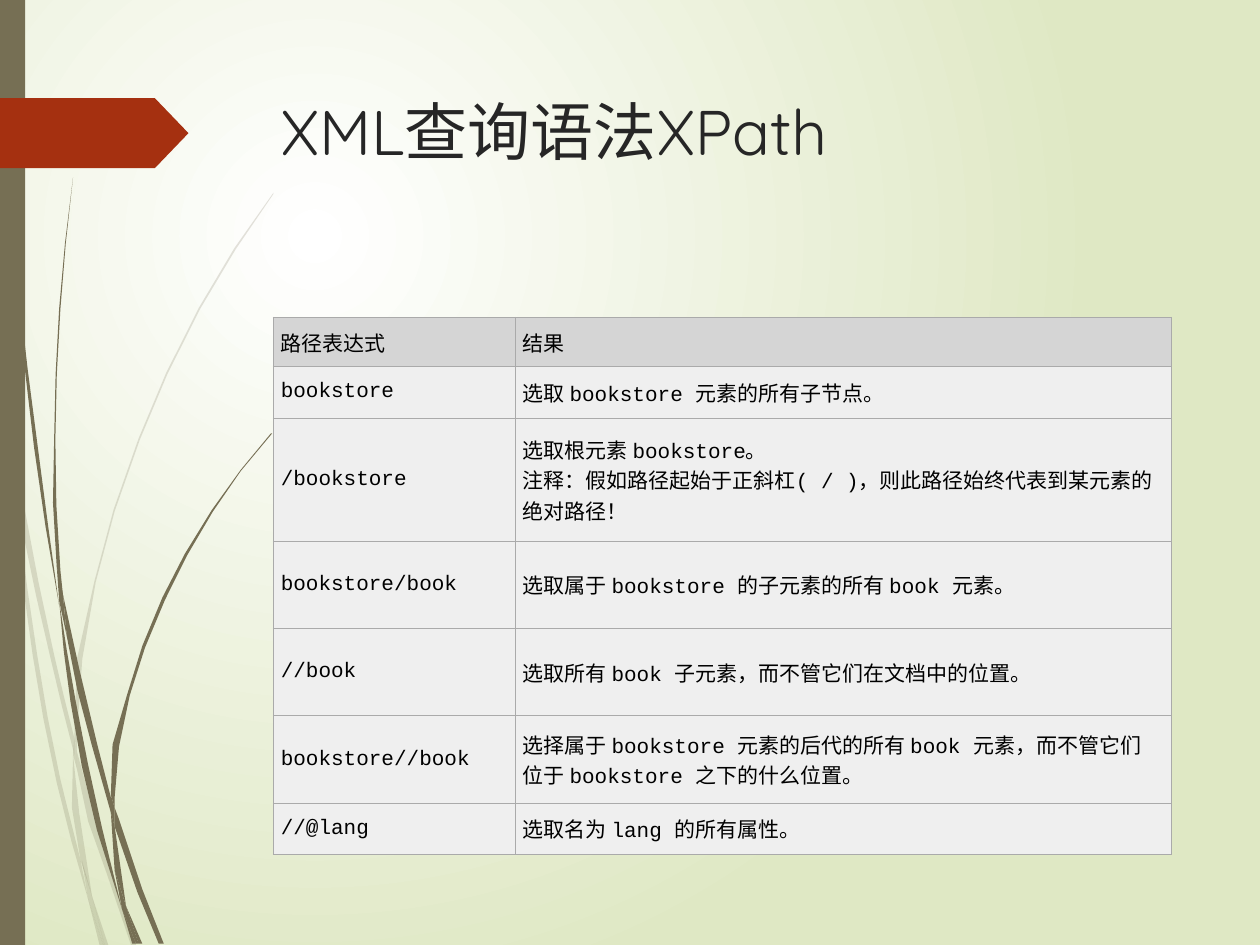
import math

from lxml import etree
from pptx import Presentation
from pptx.dml.color import RGBColor
from pptx.enum import shapes, text
from pptx.oxml.ns import qn
from pptx.util import Cm, Pt

WHITE = RGBColor(0xFF, 0xFF, 0xFF)
PALE_GREEN = RGBColor(0xDF, 0xE8, 0xC4)
OLIVE = RGBColor(0x76, 0x6F, 0x54)
RUST = RGBColor(0xA5, 0x30, 0x10)
INK = RGBColor(0x26, 0x26, 0x26)
BLACK = RGBColor(0, 0, 0)
HEADER_GREY = RGBColor(0xD5, 0xD5, 0xD5)
BODY_GREY = RGBColor(0xEF, 0xEF, 0xEF)
BORDER_GREY = "AAAAAA"
GRASS_UNIT = Cm(0.0254)
LONGEST_STEP = 65

# Each blade is a pair of edges, one down and one back, in grass units.
PALE_BLADES = [
    ([(8, 350), (0, 282)], [(0, 299), (8, 350)]),
    ([(10, 345), (12, 376), (40, 522), (59, 599)], [(59, 586), (43, 520), (10, 345)]),
    ([(61, 596), (61, 610), (85, 694), (104, 750)], [(108, 750), (88, 692), (64, 607), (61, 596)]),
    ([(73, 711), (83, 750)], [(86, 750), (73, 711)]),
    ([(8, 350), (19, 470), (45, 621), (70, 714)],
     [(70, 714), (64, 683), (48, 619), (22, 469), (8, 350)]),
    ([(58, 599), (64, 683), (73, 711)], [(73, 711), (63, 646), (58, 599)]),
    ([(61, 596), (59, 585), (75, 461), (110, 348), (158, 244), (186, 197), (217, 153)],
     [(217, 154), (187, 198), (159, 245), (111, 349), (76, 462), (61, 584), (61, 596)]),
    ([(70, 714), (79, 750)], [(82, 750), (70, 714)]),
    ([(59, 586), (58, 599), (61, 610)], [(61, 596), (59, 586)]),
    ([(65, 683), (70, 714), (82, 750)], [(83, 750), (73, 711), (65, 683)]),
]
DARK_BLADES = [
    ([(2, 0), (5, 110), (14, 233), (27, 355), (47, 481)],
     [(47, 481), (30, 355), (15, 232), (6, 109), (3, 0)]),
    ([(50, 472), (53, 505), (73, 592), (88, 645)], [(88, 633), (77, 590), (50, 472)]),
    ([(91, 641), (91, 656), (109, 708), (126, 749)], [(130, 749), (113, 706), (94, 649), (91, 641)]),
    ([(47, 477), (56, 557), (77, 659), (97, 722)],
     [(97, 722), (81, 657), (60, 556), (47, 477)]),
    ([(58, 141), (47, 245), (43, 349), (45, 449), (49, 472)],
     [(50, 472), (48, 453), (44, 349), (48, 245), (58, 141)]),
    ([(100, 719), (110, 749)], [(113, 749), (100, 719)]),
    ([(45, 449), (47, 477), (53, 505)], [(50, 472), (45, 449)]),
    ([(215, 344), (191, 373), (168, 405), (129, 474), (101, 551), (88, 631), (91, 641)],
     [(91, 641), (91, 633), (103, 552), (131, 476), (169, 406), (191, 374), (216, 344)]),
    ([(97, 722), (105, 749)], [(108, 749), (97, 722)]),
    ([(88, 645), (91, 691), (100, 719)], [(100, 719), (91, 656), (88, 645)]),
    ([(88, 631), (88, 645), (91, 656)], [(91, 641), (88, 631)]),
    ([(91, 691), (97, 722), (108, 749)], [(110, 749), (100, 719), (91, 691)]),
]

HEADER = ("路径表达式", "结果")
EXPRESSIONS = [
    ("bookstore", "选取 bookstore 元素的所有子节点。"),
    ("/bookstore", "选取根元素 bookstore。\n注释：假如路径起始于正斜杠( / )，则此路径始终代表到某元素的绝对路径！"),
    ("bookstore/book", "选取属于 bookstore 的子元素的所有 book 元素。"),
    ("//book", "选取所有 book 子元素，而不管它们在文档中的位置。"),
    ("bookstore//book", "选择属于 bookstore 元素的后代的所有 book 元素，而不管它们位于 bookstore 之下的什么位置。"),
    ("//@lang", "选取名为 lang 的所有属性。"),
]
COLUMN_WIDTHS = (4.88, 13.23)
ROW_HEIGHTS = (0.99, 1.04, 2.48, 1.76, 1.76, 1.76, 1.04)


def smooth(edge):
    """Return points on a cubic curve x(y) through the points of the edge."""
    if len(edge) == 2:
        return edge
    gaps = [b[1] - a[1] for a, b in zip(edge, edge[1:])]
    slopes = [(b[0] - a[0]) / gap for a, b, gap in zip(edge, edge[1:], gaps)]
    inner = [(slopes[i] * gaps[i + 1] + slopes[i + 1] * gaps[i]) / (gaps[i] + gaps[i + 1])
             for i in range(len(gaps) - 1)]
    tangents = [2 * slopes[0] - inner[0], *inner, 2 * slopes[-1] - inner[-1]]
    points = [edge[0]]
    for i, gap in enumerate(gaps):
        steps = math.ceil(abs(gap) / LONGEST_STEP)
        for step in range(1, steps + 1):
            t = step / steps
            rise = t * t * (3 - 2 * t)
            bend = t * (1 - t) * ((1 - t) * tangents[i] - t * tangents[i + 1])
            points.append((edge[i][0] + (edge[i + 1][0] - edge[i][0]) * rise + gap * bend,
                           edge[i][1] + gap * t))
    return points


def paint(shape, color):
    shape.fill.solid()
    shape.fill.fore_color.rgb = color
    shape.line.fill.background()
    shape.shadow.inherit = False


prs = Presentation()
prs.slide_width, prs.slide_height = Cm(25.4), Cm(19.05)
slide = prs.slides.add_slide(prs.slide_layouts[5])

# Background: glow centred in the upper left quarter
backdrop = slide.background.fill
backdrop.gradient()
for stop, color in zip(backdrop.gradient_stops, (WHITE, PALE_GREEN)):
    stop.color.rgb = color
gradient = slide.background._cSld.find(".//" + qn("a:gradFill"))
linear = gradient.find(qn("a:lin"))
circle = etree.Element(qn("a:path"), {"path": "circle"})
etree.SubElement(circle, qn("a:fillToRect"), l="50000", t="50000", r="100000", b="100000")
gradient.replace(linear, circle)

# Grass
for blades, opacity in ((PALE_BLADES, 20), (DARK_BLADES, 100)):
    for down, back in blades:
        outline = [(x * GRASS_UNIT, y * GRASS_UNIT) for x, y in smooth(down) + smooth(back)]
        builder = slide.shapes.build_freeform(*outline[0])
        builder.add_line_segments(outline[1:], close=True)
        blade = builder.convert_to_shape()
        paint(blade, OLIVE)
        if opacity < 100:
            color = blade.fill._xPr.find(".//" + qn("a:srgbClr"))
            etree.SubElement(color, qn("a:alpha"), val=str(opacity * 1000))

# Side bar and arrow tab
side_bar = slide.shapes.add_shape(shapes.MSO_SHAPE.RECTANGLE, 0, 0, Cm(0.51), prs.slide_height)
paint(side_bar, OLIVE)
arrow_tab = slide.shapes.add_shape(shapes.MSO_SHAPE.PENTAGON, 0, Cm(1.98), Cm(3.8), Cm(1.41))
arrow_tab.adjustments[0] = 0.48
paint(arrow_tab, RUST)

# Title
title = slide.shapes.title
title.left, title.top, title.width, title.height = Cm(5.41), Cm(1.73), Cm(18.31), Cm(3.56)
title.text_frame.text = "XML查询语法XPath"
title.text_frame.vertical_anchor = text.MSO_ANCHOR.TOP
heading = title.text_frame.paragraphs[0]
heading.alignment = text.PP_ALIGN.LEFT
heading.font.name, heading.font.size = "Quicksand", Pt(36)
heading.font.color.rgb = INK

# Table of path expressions
rows = [HEADER, *EXPRESSIONS]
table = slide.shapes.add_table(len(rows), 2, Cm(5.51), Cm(6.4),
                               Cm(sum(COLUMN_WIDTHS)), Cm(sum(ROW_HEIGHTS))).table
for column, width in zip(table.columns, COLUMN_WIDTHS):
    column.width = Cm(width)
table.first_row = table.horz_banding = False
for r, (row, height) in enumerate(zip(rows, ROW_HEIGHTS)):
    table.rows[r].height = Cm(height)
    for c, content in enumerate(row):
        cell = table.cell(r, c)
        cell.text = content
        cell.vertical_anchor = text.MSO_ANCHOR.MIDDLE
        cell.margin_left, cell.margin_right = Cm(0.15), Cm(0.38)
        cell.margin_top = cell.margin_bottom = Cm(0.15 if r else 0.13)
        for paragraph in cell.text_frame.paragraphs:
            paragraph.font.name, paragraph.font.size = "Courier New", Pt(12)
            paragraph.font.color.rgb = BLACK
        properties = cell._tc.get_or_add_tcPr()
        for side in ("lnL", "lnR", "lnT", "lnB"):
            border = etree.SubElement(properties, qn("a:" + side), w=str(Pt(0.75)))
            border_fill = etree.SubElement(border, qn("a:solidFill"))
            etree.SubElement(border_fill, qn("a:srgbClr"), val=BORDER_GREY)
        cell.fill.solid()
        cell.fill.fore_color.rgb = BODY_GREY if r else HEADER_GREY

prs.save("out.pptx")
